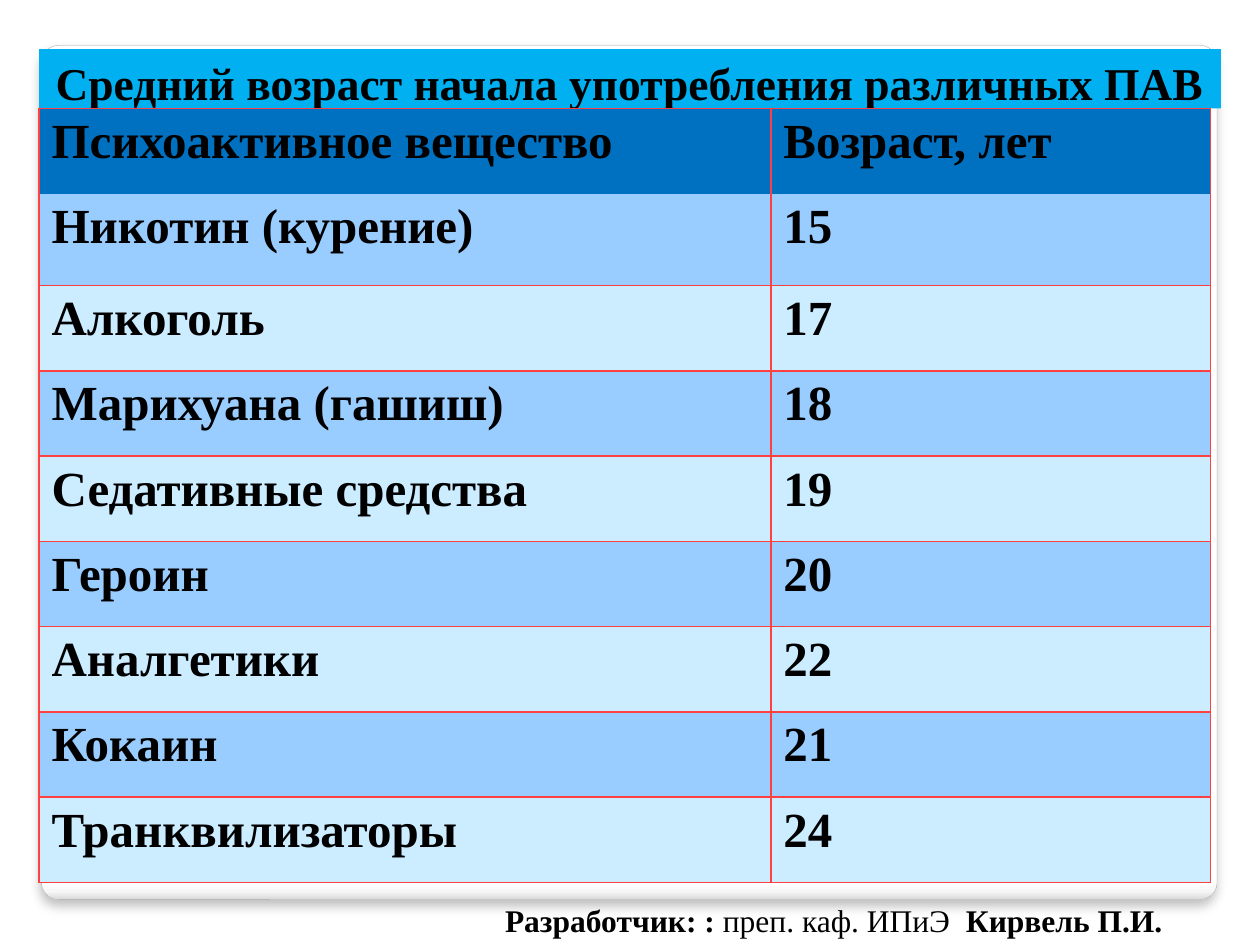
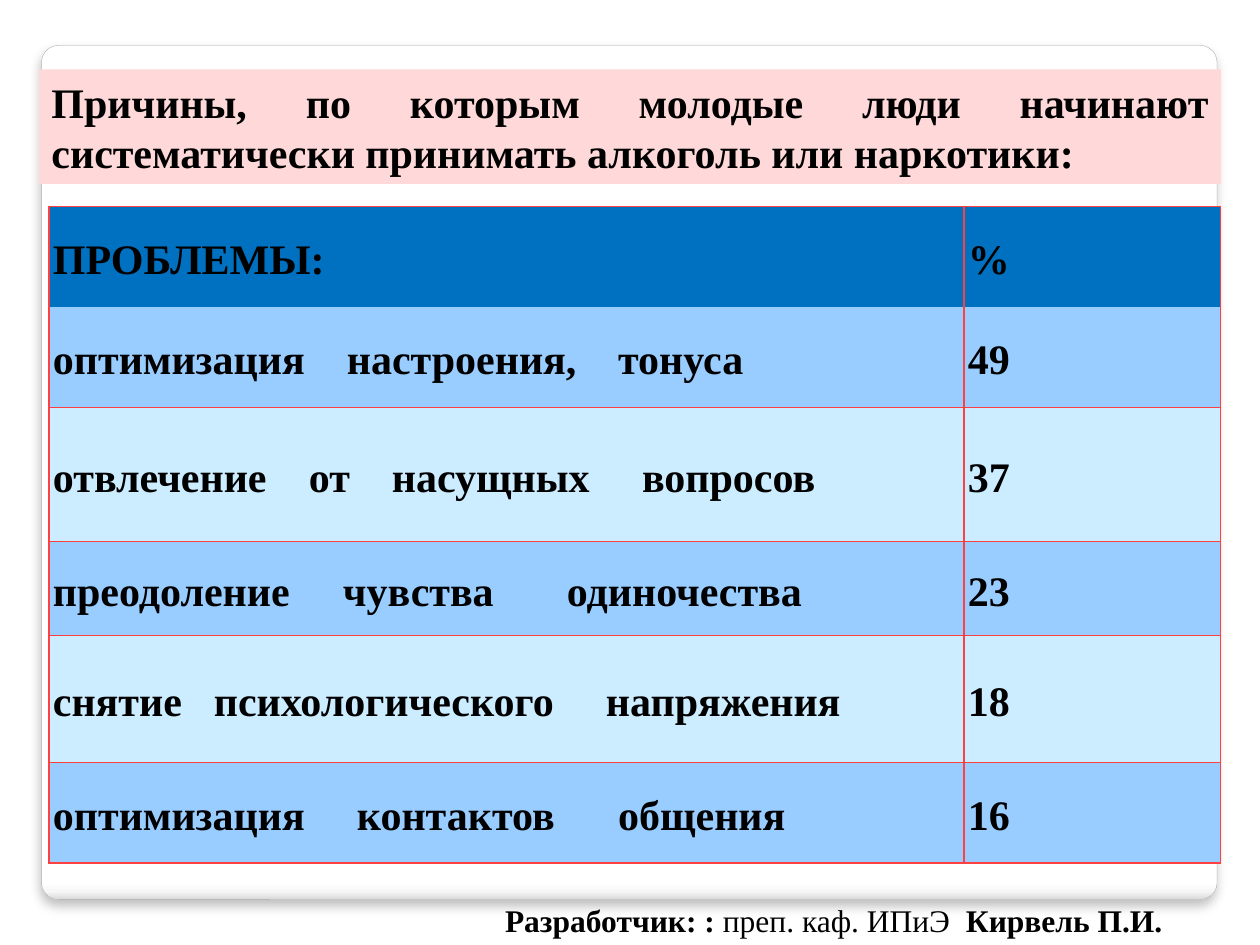
from dataclasses import dataclass

from lxml import etree
from pptx import Presentation
from pptx.dml.color import RGBColor
from pptx.enum import shapes, text
from pptx.oxml import ns
from pptx.util import Pt


@dataclass(frozen=True)
class Theme:
    font: str = "Times New Roman"
    ink: str = "000000"
    sky: str = "00B0F0"
    rose: str = "FFD9D9"
    header: str = "0070C0"
    bands: tuple = ("99CCFF", "CCECFF")
    border: str = "FF4040"
    panel_line: str = "A4A4A4"
    panel_stops: tuple = ((0, "FFFFFF"), (98, "FFFFFF"), (99, "F7F7F7"), (100, "DADADA"))
    footer_size: float = 18
    reasons_size: float = 24
    age_title_size: float = 26
    age_size: float = 28


THEME = Theme()
PANEL_BOX = (23.76, 25.92, 671.76, 488.16)
FOOTER_BOX = (281.52, 511.2, 399.6, 28.8)

AGES = [
    ("Психоактивное вещество", "Возраст, лет"),
    ("Никотин (курение)", "15"),
    ("Алкоголь", "17"),
    ("Марихуана (гашиш)", "18"),
    ("Седативные средства", "19"),
    ("Героин", "20"),
    ("Аналгетики", "22"),
    ("Кокаин", "21"),
    ("Транквилизаторы", "24"),
]
REASONS = [
    ("ПРОБЛЕМЫ:", "%"),
    ("оптимизация\tнастроения,\tтонуса", "49"),
    ("отвлечение\tот\tнасущных\tвопросов", "37"),
    ("преодоление\tчувства\tодиночества", "23"),
    ("снятие\tпсихологического\tнапряжения", "18"),
    ("оптимизация\tконтактов\tобщения", "16"),
]
REASON_TABS = {1: (168, 323), 2: (146.3, 193.7, 336.6), 3: (165.7, 293.7),
               4: (92, 316), 5: (173.7, 323)}


def apply(target, values):
    for name, value in values.items():
        setattr(target, name, value)


def add_xml(parent, tag, **attributes):
    return etree.SubElement(parent, ns.qn(tag), {k: str(v) for k, v in attributes.items()})


def points(values):
    return [Pt(value) for value in values]


def paint(fill, color):
    fill.solid()
    fill.fore_color.rgb = RGBColor.from_string(color)


def set_tabs(paragraph, stops):
    tabs = add_xml(paragraph._p.get_or_add_pPr(), "a:tabLst")
    for stop in stops:
        add_xml(tabs, "a:tab", pos=Pt(stop), algn="l")


def write(paragraph, wording, size, bold=True):
    run = paragraph.add_run()
    run.text = wording
    apply(run.font, {"name": THEME.font, "size": Pt(size), "bold": bold})
    run.font.color.rgb = RGBColor.from_string(THEME.ink)


def draw_panel(slide, box):
    panel = slide.shapes.add_shape(shapes.MSO_SHAPE.ROUNDED_RECTANGLE, *points(box))
    panel.adjustments[0] = 0.02
    panel.shadow.inherit = False
    panel.line.width = Pt(0.16)
    panel.line.color.rgb = RGBColor.from_string(THEME.panel_line)
    panel.fill.gradient()
    panel.fill.gradient_angle = 270
    properties = panel._element.spPr
    stops = properties.find(".//" + ns.qn("a:gsLst"))
    for stop in list(stops):
        stops.remove(stop)
    for position, color in THEME.panel_stops:
        stop = add_xml(stops, "a:gs", pos=position * 1000)
        add_xml(stop, "a:srgbClr", val=color)
    effects = properties.find(ns.qn("a:effectLst"))
    shadow = add_xml(effects, "a:outerShdw", blurRad=Pt(6), dist=Pt(4), dir=5400000,
                     algn="t", rotWithShape=0)
    add_xml(add_xml(shadow, "a:srgbClr", val=THEME.ink), "a:alpha", val=25000)


def draw_footer(slide, box):
    frame = slide.shapes.add_textbox(*points(box)).text_frame
    apply(frame, {"word_wrap": True, "auto_size": text.MSO_AUTO_SIZE.SHAPE_TO_FIT_TEXT})
    credit = frame.paragraphs[0]
    set_tabs(credit, [263.4])
    for wording, bold in (("Разработчик: : ", True), ("преп. каф. ИПиЭ\t", False),
                          ("Кирвель П.И.", True)):
        write(credit, wording, THEME.footer_size, bold)


def draw_title(slide, box, wording, color, size, align, anchor):
    band = slide.shapes.add_shape(shapes.MSO_SHAPE.RECTANGLE, *points(box))
    band.shadow.inherit = False
    paint(band.fill, color)
    band.line.fill.background()
    apply(band.text_frame, {"word_wrap": True, "vertical_anchor": anchor})
    heading = band.text_frame.paragraphs[0]
    heading.alignment = align
    write(heading, wording, size)


def draw_borders(cell, hidden):
    properties = cell._tc.get_or_add_tcPr()
    for side in "LRTB":
        edge = add_xml(properties, f"a:ln{side}", w=Pt(1))
        if side == hidden:
            add_xml(edge, "a:noFill")
        else:
            add_xml(add_xml(edge, "a:solidFill"), "a:srgbClr", val=THEME.border)


def draw_table(slide, origin, widths, heights, rows, size,
               cell_format=None, spacing=None, tabs=None):
    table = slide.shapes.add_table(
        len(rows), len(widths), *points((*origin, sum(widths), sum(heights)))).table
    apply(table, {"first_row": False, "horz_banding": False})
    for column, width in zip(table.columns, widths):
        column.width = Pt(width)
    for index, (row, height, wordings) in enumerate(zip(table.rows, heights, rows)):
        row.height = Pt(height)
        color = THEME.bands[(index - 1) % 2] if index else THEME.header
        for position, (cell, wording) in enumerate(zip(row.cells, wordings)):
            draw_borders(cell, {0: "B", 1: "T"}.get(index))
            paint(cell.fill, color)
            apply(cell, cell_format or {})
            entry = cell.text_frame.paragraphs[0]
            if position == 0 and tabs and index in tabs:
                set_tabs(entry, tabs[index])
            apply(entry, spacing or {})
            write(entry, wording, size)


def start_slide(deck):
    slide = deck.slides.add_slide(deck.slide_layouts[6])
    draw_panel(slide, PANEL_BOX)
    draw_footer(slide, FOOTER_BOX)
    return slide


def build_ages(deck):
    slide = start_slide(deck)
    draw_title(slide, (22.32, 28.08, 675.36, 33.84),
               "Средний возраст начала употребления различных ПАВ", THEME.sky,
               THEME.age_title_size, text.PP_ALIGN.CENTER, text.MSO_ANCHOR.TOP)
    heights = [48.75, 52.5] + [48.75] * (len(AGES) - 2)
    draw_table(slide, (22.32, 61.92), (418.2, 251.2), heights, AGES, THEME.age_size)


def build_reasons(deck):
    slide = start_slide(deck)
    draw_title(slide, (22.32, 39.6, 675.36, 65.5),
               "Причины, по которым молодые люди начинают систематически "
               "принимать алкоголь или наркотики:", THEME.rose,
               THEME.reasons_size, text.PP_ALIGN.JUSTIFY, text.MSO_ANCHOR.MIDDLE)
    margins = {f"margin_{side}": Pt(2.16) for side in ("left", "right", "top", "bottom")}
    draw_table(slide, (28.08, 118.1), (522.9, 146.4),
               (57.4, 57.4, 76.5, 53.8, 72.7, 57.4), REASONS, THEME.reasons_size,
               {"vertical_anchor": text.MSO_ANCHOR.MIDDLE, **margins},
               {"line_spacing": 1.15, "space_after": Pt(10)}, REASON_TABS)


def main():
    deck = Presentation()
    apply(deck, {"slide_width": Pt(720), "slide_height": Pt(540)})
    build_ages(deck)
    build_reasons(deck)
    deck.save("out.pptx")


if __name__ == "__main__":
    main()
